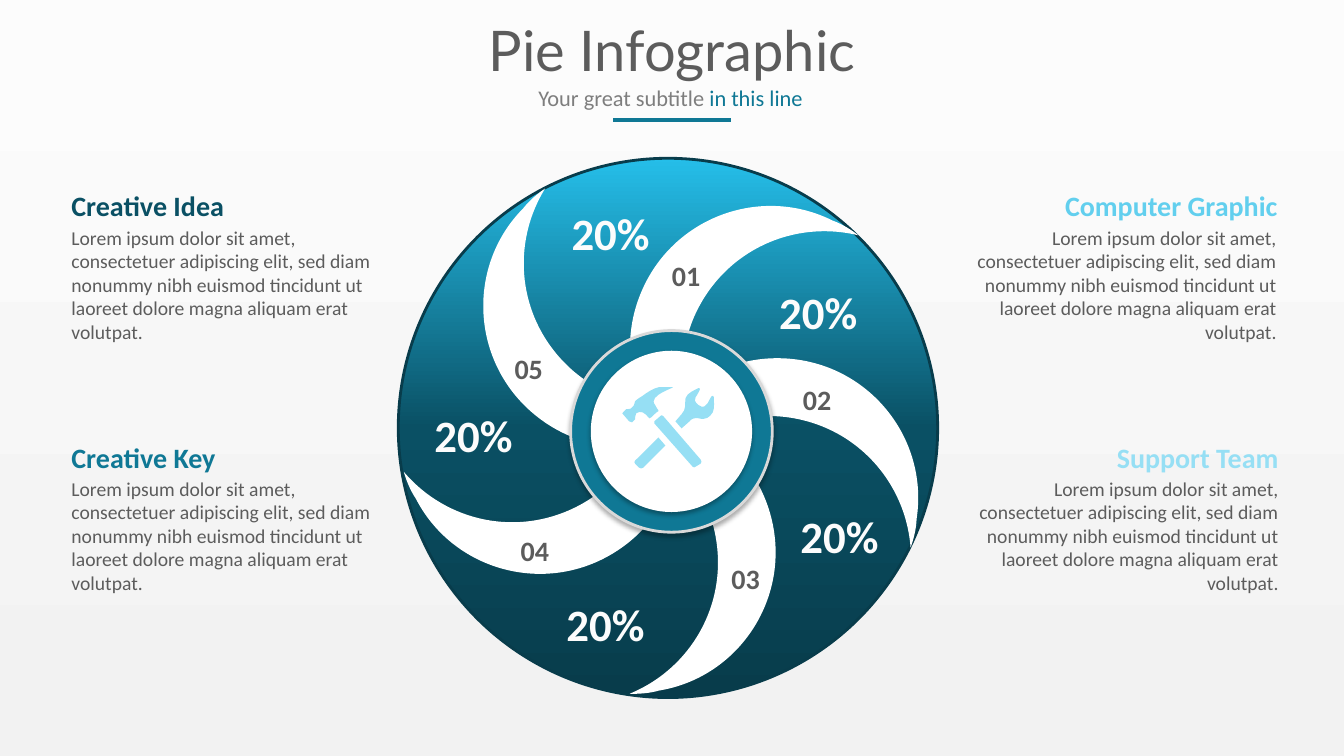
"""Builds the pie infographic slide."""
import copy
import math

from lxml import etree
from pptx import Presentation
from pptx.dml.color import RGBColor
from pptx.enum.shapes import MSO_CONNECTOR, MSO_SHAPE
from pptx.enum.text import MSO_ANCHOR, MSO_AUTO_SIZE, PP_ALIGN
from pptx.oxml.ns import qn
from pptx.util import Inches, Pt

LEFT, CENTER, RIGHT = PP_ALIGN.LEFT, PP_ALIGN.CENTER, PP_ALIGN.RIGHT
MIDDLE = MSO_ANCHOR.MIDDLE
FIXED, GROW = MSO_AUTO_SIZE.NONE, MSO_AUTO_SIZE.SHAPE_TO_FIT_TEXT
OVAL, STRAIGHT = MSO_SHAPE.OVAL, MSO_CONNECTOR.STRAIGHT

CELL = Inches(1)
COLUMNS, ROWS = 13.33, 7.5
TEAL, DARK_TEAL, NIGHT, SKY = "0F7895", "0A5064", "083C4B", "25BEE9"
PALE, WHITE, GREY = "96DFF4", "FFFFFF", "5C5C5C"

LOREM = ("Lorem ipsum dolor sit amet, consectetuer adipiscing elit, sed diam "
         "nonummy nibh euismod tincidunt ut laoreet dolore magna aliquam erat volutpat.")
CAPTIONS = [
    ("Creative Key", TEAL, LEFT, (0.61, 4.32, 1.65, 0.44), (0.61, 4.68, 3.33, 1.28)),
    ("Creative Idea", DARK_TEAL, LEFT, (0.61, 1.82, 1.73, 0.44), (0.61, 2.19, 3.5, 1.28)),
    ("Computer Graphic", "62CFEE", RIGHT, (10.44, 1.82, 2.33, 0.44), (9.38, 2.19, 3.38, 1.28)),
    ("Support Team", PALE, RIGHT, (10.96, 4.32, 1.82, 0.44), (9.28, 4.68, 3.5, 1.28)),
]
BLADE_HUB, FIRST_BLADE_CENTRE = (6.64, 4.24), (7.15, 3.2)
BLADE_TILT, BLADE_STEP = 26, 72
BLADE_NUMBERS = [(6.52, 2.52), (7.82, 3.75), (7.11, 5.52), (5.02, 5.24), (4.96, 3.44)]
SHARES = [(5.57, 1.99), (7.63, 2.78), (7.84, 5), (5.52, 5.87), (4.21, 4)]

BLADE = [
    (1.4, 0.01), (1.49, 0, 1.6, 0.01, 1.69, 0.03),
    (1.05, 0.17, 0.58, 0.73, 0.58, 1.41), (0.58, 2.07, 1.06, 2.64, 1.69, 2.77),
    (1.6, 2.79, 1.49, 2.8, 1.4, 2.8), (0.62, 2.8, 0, 2.18, 0, 1.4),
    (0, 0.63, 0.63, 0, 1.4, 0.01),
]
HAMMER_HEAD = [
    (6.31, 4.1), (6.36, 4.07, 6.39, 4.09, 6.44, 4.15), (6.45, 4.15, 6.45, 4.15, 6.46, 4.14),
    (6.46, 4.14, 6.52, 4.08, 6.53, 4.08), (6.53, 4.08, 6.53, 4.07, 6.53, 4.07),
    (6.52, 4.06, 6.51, 4.04, 6.5, 4.02), (6.41, 3.92, 6.72, 3.84, 6.67, 3.84),
    (6.65, 3.84, 6.55, 3.84, 6.54, 3.84), (6.48, 3.85, 6.41, 3.9, 6.37, 3.93),
    (6.32, 3.96, 6.3, 3.98, 6.3, 3.98), (6.29, 3.99, 6.3, 4.02, 6.27, 4.04),
    (6.25, 4.07, 6.23, 4.05, 6.21, 4.06), (6.21, 4.07, 6.18, 4.08, 6.18, 4.09),
    (6.17, 4.1, 6.17, 4.11, 6.18, 4.11), (6.18, 4.11, 6.24, 4.18, 6.24, 4.18),
    (6.25, 4.19, 6.26, 4.19, 6.27, 4.19), (6.28, 4.18, 6.3, 4.16, 6.3, 4.16),
    (6.3, 4.15, 6.3, 4.12, 6.31, 4.1),
]
HAMMER_HANDLE = [
    (6.58, 4.13), (6.57, 4.12, 6.56, 4.12, 6.56, 4.12), (6.49, 4.18, 6.49, 4.18, 6.49, 4.18),
    (6.49, 4.19, 6.49, 4.19, 6.49, 4.2), (6.87, 4.63, 6.87, 4.63, 6.87, 4.63),
    (6.88, 4.64, 6.89, 4.64, 6.9, 4.63), (6.95, 4.6, 6.95, 4.6, 6.95, 4.6),
    (6.96, 4.59, 6.96, 4.57, 6.95, 4.56), (6.58, 4.13),
]
WRENCH_HEAD = [
    (7.08, 3.94), (7.08, 3.92, 7.07, 3.93, 7.06, 3.93),
    (7.05, 3.94, 7.03, 3.98, 7.02, 4), (7, 4.02, 6.98, 4.06, 6.93, 4.02),
    (6.88, 3.98, 6.89, 3.96, 6.9, 3.94), (6.91, 3.93, 6.94, 3.87, 6.94, 3.87),
    (6.95, 3.86, 6.94, 3.85, 6.93, 3.85), (6.91, 3.86, 6.81, 3.9, 6.8, 3.95),
    (6.79, 4.01, 6.81, 4.06, 6.76, 4.11), (6.7, 4.18, 6.7, 4.18, 6.7, 4.18),
    (6.76, 4.25, 6.76, 4.25, 6.76, 4.25), (6.84, 4.18, 6.84, 4.18, 6.84, 4.18),
    (6.85, 4.16, 6.89, 4.14, 6.93, 4.15), (7, 4.17, 7.04, 4.14, 7.07, 4.09),
    (7.09, 4.05, 7.08, 3.97, 7.08, 3.94),
]
WRENCH_HANDLE = [
    (6.3, 4.57), (6.29, 4.58, 6.29, 4.59, 6.3, 4.6), (6.34, 4.64, 6.34, 4.64, 6.34, 4.64),
    (6.35, 4.65, 6.37, 4.65, 6.38, 4.64), (6.6, 4.42, 6.6, 4.42, 6.6, 4.42),
    (6.53, 4.34, 6.53, 4.34, 6.53, 4.34), (6.3, 4.57),
]


def cells(*lengths):
    """Turn grid lengths into slide lengths."""
    return [round(CELL * length) for length in lengths]


def rgb(colour):
    """Turn a hex string into a colour."""
    return RGBColor.from_string(colour)


def paint_gradient(fill, owner, colours):
    """Fill with evenly spaced colours from bottom to top."""
    fill.gradient()
    fill.gradient_angle = 90
    stop_list = next(owner.iter(qn("a:gsLst")))
    for _ in colours[2:]:
        stop_list.append(copy.deepcopy(stop_list[0]))
    for index, (stop, colour) in enumerate(zip(fill.gradient_stops, colours)):
        stop.color.rgb = rgb(colour)
        stop.position = index / (len(colours) - 1)


def format_paragraph(paragraph, size, colour, align, bold=False, font="Calibri"):
    """Set the font and alignment of a paragraph."""
    paragraph.alignment = align
    paragraph.font.name, paragraph.font.size = font, Pt(size)
    paragraph.font.bold = bold
    paragraph.font.color.rgb = rgb(colour)


def add_label(shapes, words, box, size, colour, align=CENTER, bold=True, wrap=True):
    """Add a one-paragraph text box and return the paragraph."""
    frame = shapes.add_textbox(*cells(*box)).text_frame
    frame.word_wrap, frame.auto_size = wrap, GROW
    paragraph = frame.paragraphs[0]
    paragraph.add_run().text = words
    format_paragraph(paragraph, size, colour, align, bold)
    return paragraph


def add_disc(shapes, left, top, diameter, outline=None, shaded=False):
    """Add a circle with an optional outline and soft shadow."""
    disc = shapes.add_shape(OVAL, *cells(left, top, diameter, diameter))
    if outline:
        disc.line.color.rgb, disc.line.width = rgb(outline), Pt(2)
    else:
        disc.line.fill.background()
    disc.shadow.inherit = False
    if shaded:
        effects = next(disc._element.iter(qn("a:effectLst")))
        shadow = etree.SubElement(effects, qn("a:outerShdw"), blurRad=str(Pt(3.5)),
                                  dist=str(Pt(2.2)), dir="5400000", rotWithShape="0")
        black = etree.SubElement(shadow, qn("a:srgbClr"), val="000000")
        etree.SubElement(black, qn("a:alpha"), val="32000")
    return disc


def bend(line, controls, left, top):
    """Turn a straight segment into a cubic curve."""
    curve = etree.Element(qn("a:cubicBezTo"))
    for x, y in zip(controls[::2], controls[1::2]):
        etree.SubElement(curve, qn("a:pt"), x=str(x - left), y=str(y - top))
    line.getparent().replace(line, curve)


def add_outline(shapes, contours, colour):
    """Add a filled freeform made of closed contours and return it."""
    contours = [[cells(*segment) for segment in contour] for contour in contours]
    builder = shapes.build_freeform(*contours[0][0])
    for index, contour in enumerate(contours):
        if index:
            builder.move_to(*contour[0])
        builder.add_line_segments([segment[-2:] for segment in contour[1:]], close=True)
    figure = builder.convert_to_shape()
    segments = [segment for contour in contours for segment in contour[1:]]
    for line, segment in zip(list(figure._element.iter(qn("a:lnTo"))), segments):
        if len(segment) == 6:
            bend(line, segment, figure.left, figure.top)
    figure.fill.solid()
    figure.fill.fore_color.rgb = rgb(colour)
    figure.line.fill.background()
    figure.shadow.inherit = False
    return figure


def add_blade(shapes, turn):
    """Add one blade, turned clockwise about the hub."""
    angle = math.radians(turn)
    x, y = (centre - hub for centre, hub in zip(FIRST_BLADE_CENTRE, BLADE_HUB))
    across, down = cells(BLADE_HUB[0] + x * math.cos(angle) - y * math.sin(angle),
                         BLADE_HUB[1] + x * math.sin(angle) + y * math.cos(angle))
    blade = add_outline(shapes, [BLADE], WHITE)
    blade.left, blade.top = across - blade.width // 2, down - blade.height // 2
    blade.rotation = BLADE_TILT + turn


def add_heading(slide):
    """Add the title, the two-colour subtitle and its rule."""
    title = slide.shapes.title
    title.left, title.top, title.width, title.height = cells(2.01, 0, 9.31, 1.06)
    frame = title.text_frame
    frame.text = "Pie Infographic"
    frame.vertical_anchor, frame.auto_size = MIDDLE, FIXED
    format_paragraph(frame.paragraphs[0], 40, GREY, CENTER, font="Lato")
    frame.paragraphs[0].line_spacing = 0.9
    subtitle = add_label(slide.shapes, "Your great subtitle ", (5.24, 0.79, 2.85, 0.37),
                         16, "7E7E7E", LEFT, bold=False, wrap=False)
    accent = subtitle.add_run()
    accent.text = "in this line"
    accent.font.color.rgb = rgb(TEAL)
    rule = slide.shapes.add_connector(STRAIGHT, *cells(6.08, 1.19, 7.25, 1.19))
    rule.line.color.rgb, rule.line.width = rgb(TEAL), Pt(3.25)
    etree.SubElement(rule._element.spPr, qn("a:effectLst"))


def add_caption(slide, heading, colour, align, heading_box, body_box):
    """Add a coloured heading over its description."""
    shapes = slide.shapes.add_group_shape().shapes
    add_label(shapes, LOREM, body_box, 14, GREY, align, bold=False)
    add_label(shapes, heading, heading_box, 20, colour, align, wrap=False)


def add_wheel(slide):
    """Add the pie with its blades, hub, tools and labels."""
    shapes = slide.shapes.add_group_shape().shapes
    pie = add_disc(shapes, 3.95, 1.57, 5.35, NIGHT)
    paint_gradient(pie.fill, pie._element, [NIGHT, DARK_TEAL, SKY])
    for index in range(len(BLADE_NUMBERS)):
        add_blade(shapes, BLADE_STEP * index)
    ring = add_disc(shapes, 5.66, 3.28, 2, "D9D9D9", shaded=True)
    hub = add_disc(shapes, 5.86, 3.48, 1.6, shaded=True)
    for disc, colour in ((ring, TEAL), (hub, WHITE)):
        disc.fill.solid()
        disc.fill.fore_color.rgb = rgb(colour)
    add_outline(shapes, [HAMMER_HEAD, HAMMER_HANDLE, WRENCH_HEAD, WRENCH_HANDLE], PALE)
    for number, corner in enumerate(BLADE_NUMBERS, 1):
        add_label(shapes, f"{number:02}", (*corner, 0.57, 0.44), 20, GREY)
    for corner in SHARES:
        add_label(shapes, "20%", (*corner, 0.98, 0.64), 32, "FCFCFC", LEFT, wrap=False)


def main():
    """Build and save the slide."""
    deck = Presentation()
    deck.slide_width, deck.slide_height = cells(COLUMNS, ROWS)
    slide = deck.slides.add_slide(deck.slide_layouts[5])
    paint_gradient(slide.background.fill, slide._element, ["F2F2F2", "FCFCFC"])
    add_heading(slide)
    for caption in CAPTIONS:
        add_caption(slide, *caption)
    add_wheel(slide)
    deck.save("out.pptx")


if __name__ == "__main__":
    main()
